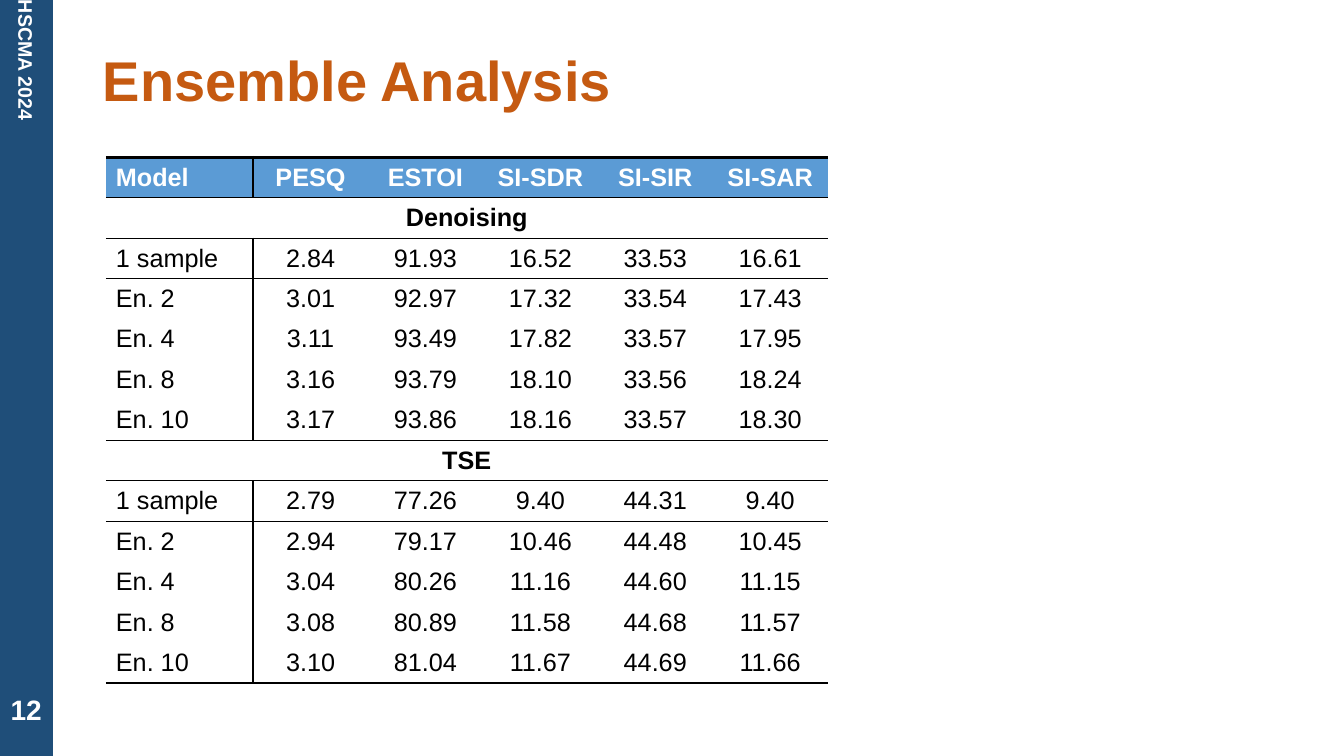
"""Build the ensemble analysis slide with its results table."""
from lxml import etree
from pptx import Presentation, util as u
from pptx.dml.color import RGBColor
from pptx.enum import shapes, text
from pptx.oxml import ns

COLORS = {"band": "1F4E79", "title": "C55A11", "header": "5B9BD5",
          "ink": "000000", "white": "FFFFFF"}
CENTER, LEFT = text.PP_ALIGN.CENTER, text.PP_ALIGN.LEFT


def write(frame, words, size, color, bold=True, align=CENTER):
    frame.vertical_anchor = text.MSO_ANCHOR.MIDDLE
    para = frame.paragraphs[0]
    para.alignment = align
    span = para.add_run()
    span.text = words
    span.font.name = "Arial"
    span.font.size = u.Pt(size)
    span.font.bold = bold
    span.font.color.rgb = RGBColor.from_string(COLORS[color])
    return para


def add_border(cell, side, width):
    properties = cell._tc.get_or_add_tcPr()
    line = etree.SubElement(properties, ns.qn(f"a:ln{side}"), w=str(u.Pt(width)))
    if width:
        fill = etree.SubElement(line, ns.qn("a:solidFill"))
        etree.SubElement(fill, ns.qn("a:srgbClr"), val=COLORS["ink"])
    else:
        etree.SubElement(line, ns.qn("a:noFill"))


deck = Presentation()
deck.slide_width, deck.slide_height = u.Inches(13.33), u.Inches(7.5)
page = deck.slides.add_slide(deck.slide_layouts[5])

band_width, split = u.Inches(0.52), u.Inches(6.77)
bands = []
for top, bottom in ((split, deck.slide_height), (0, split)):
    band = page.shapes.add_shape(
        shapes.MSO_SHAPE.RECTANGLE, 0, top, band_width, bottom - top)
    band.shadow.inherit = False
    band.fill.solid()
    band.fill.fore_color.rgb = RGBColor.from_string(COLORS["band"])
    band.line.color.rgb = RGBColor.from_string(COLORS["band"])
    band.line.width = u.Pt(1)
    bands.append(band)

event = bands[1].text_frame
event.margin_left = event.margin_right = u.Inches(0.1)
event.margin_top, event.margin_bottom = 0, u.Inches(3.54)
write(event, "HSCMA 2024", 14, "white")
event._txBody.bodyPr.set("vert", "eaVert")

title = page.shapes.title
title.left, title.top = u.Inches(0.92), u.Inches(0.31)
title.width, title.height = u.Inches(11.5), u.Inches(1.03)
heading = write(title.text_frame, "Ensemble Analysis", 40, "title", align=LEFT)
heading.line_spacing = 0.9

number = page.shapes.add_textbox(0, u.Inches(6.78), band_width, band_width)
number.text_frame.word_wrap = True
number.text_frame.margin_left = number.text_frame.margin_right = 0
write(number.text_frame, "12", 20, "white")

ROWS = [
    ["Model", "PESQ", "ESTOI", "SI-SDR", "SI-SIR", "SI-SAR"],
    ["Denoising"],
    ["1 sample", "2.84", "91.93", "16.52", "33.53", "16.61"],
    ["En. 2", "3.01", "92.97", "17.32", "33.54", "17.43"],
    ["En. 4", "3.11", "93.49", "17.82", "33.57", "17.95"],
    ["En. 8", "3.16", "93.79", "18.10", "33.56", "18.24"],
    ["En. 10", "3.17", "93.86", "18.16", "33.57", "18.30"],
    ["TSE"],
    ["1 sample", "2.79", "77.26", "9.40", "44.31", "9.40"],
    ["En. 2", "2.94", "79.17", "10.46", "44.48", "10.45"],
    ["En. 4", "3.04", "80.26", "11.16", "44.60", "11.15"],
    ["En. 8", "3.08", "80.89", "11.58", "44.68", "11.57"],
    ["En. 10", "3.10", "81.04", "11.67", "44.69", "11.66"],
]
RULES = {0: 2.25, 1: 1, 2: 1, 3: 1, 7: 1, 8: 1, 9: 1, 13: 2.25}
column_count = len(ROWS[0])
table = page.shapes.add_table(
    len(ROWS), column_count, u.Inches(1.05), u.Inches(1.56),
    u.Inches(7.17), u.Inches(5.22)).table
table.first_row = table.horz_banding = False
for index, column in enumerate(table.columns):
    column.width = u.Inches(1.14 if index else 1.46)

for r, values in enumerate(ROWS):
    section = len(values) == 1
    if section:
        table.cell(r, 0).merge(table.cell(r, column_count - 1))
    for c in range(column_count):
        cell = table.cell(r, c)
        add_border(cell, "L", 1 if c == 1 and not section else 0)
        add_border(cell, "R", 1 if c == 0 and not section else 0)
        add_border(cell, "T", RULES.get(r, 0))
        add_border(cell, "B", RULES.get(r + 1, 0))
        if r == 0:
            cell.fill.solid()
            cell.fill.fore_color.rgb = RGBColor.from_string(COLORS["header"])
        else:
            cell.fill.background()
        cell.vertical_anchor = text.MSO_ANCHOR.MIDDLE
        if c < len(values):
            write(cell.text_frame, values[c], 18, "ink" if r else "white",
                  bold=section or r == 0, align=CENTER if c or section else LEFT)

deck.save("out.pptx")
